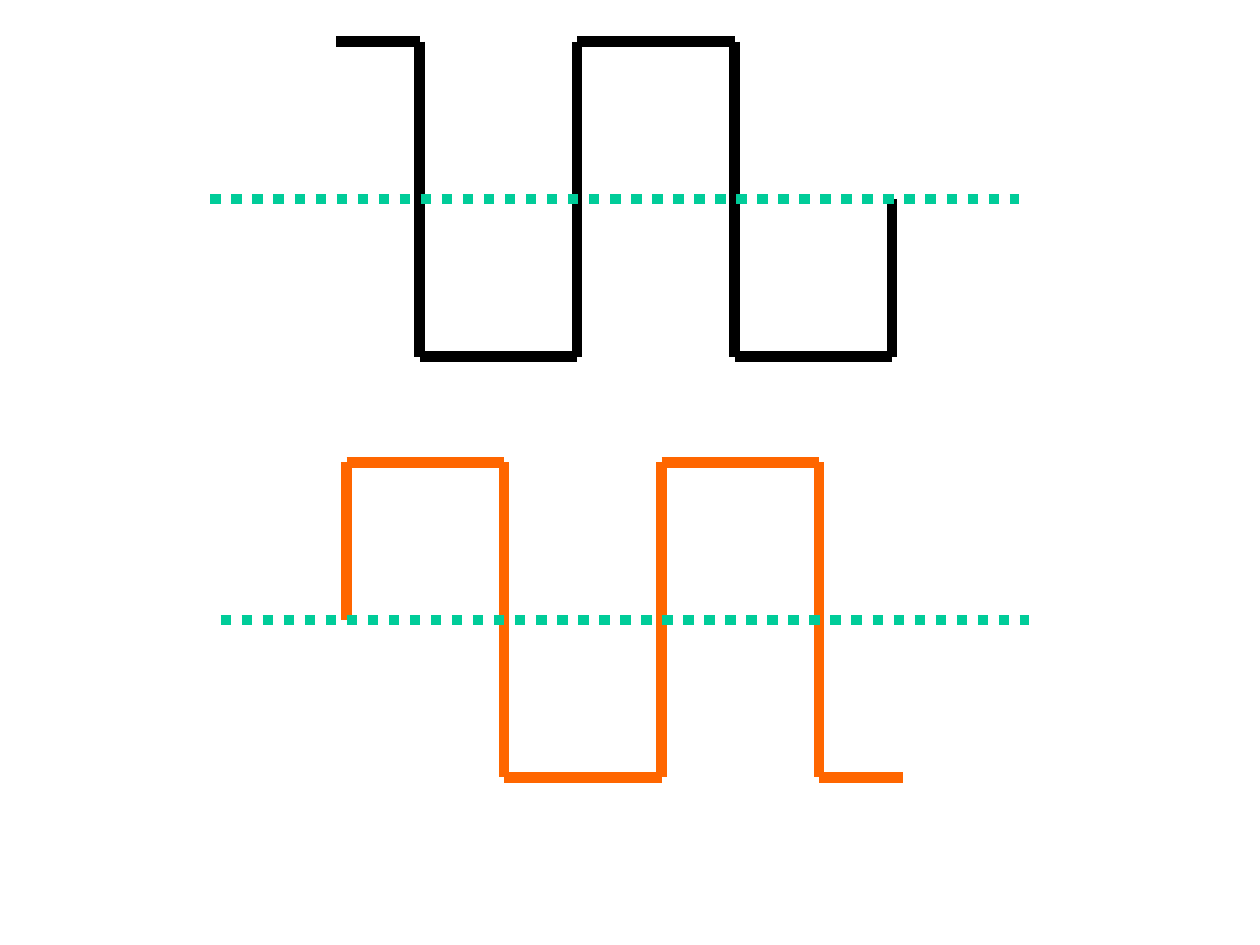
from itertools import pairwise

from lxml.etree import SubElement
from pptx import Presentation
from pptx.dml.color import RGBColor
from pptx.enum.dml import MSO_LINE
from pptx.enum.shapes import MSO_CONNECTOR as CONNECTOR
from pptx.oxml.ns import qn
from pptx.util import Inches, Pt

HALF_PERIOD = 1.25
AMPLITUDE = 1.25
AXIS_LENGTH = 6.42
AXIS_COLOR = "00CC99"

# Each corner is (x, level): level 1 is the crest, 0 the axis, -1 the trough
BLACK_START, ORANGE_START = 3.33, 2.75
black_edges = [BLACK_START + i * HALF_PERIOD for i in range(4)]
orange_edges = [ORANGE_START + i * HALF_PERIOD for i in range(4)]
b, o = black_edges, orange_edges

WAVES = [
    {"color": "000000", "axis_left": 1.67, "axis_y": 1.58,
     "corners": [(2.67, 1), (b[0], 1), (b[0], -1), (b[1], -1), (b[1], 0),
                 (b[1], 1), (b[2], 1), (b[2], -1), (b[3], -1), (b[3], 0)]},
    {"color": "FF6600", "axis_left": 1.75, "axis_y": 4.92,
     "corners": [(o[0], 0), (o[0], 1), (o[1], 1), (o[1], -1), (o[2], -1),
                 (o[2], 0), (o[2], 1), (o[3], 1), (o[3], -1), (7.17, -1)]},
]


def add_line(shapes, start, end, color):
    ends = [Inches(value) for value in (*start, *end)]
    line = shapes.add_connector(CONNECTOR.STRAIGHT, *ends)
    line.line.color.rgb = RGBColor.from_string(color)
    line.line.width = Pt(6)
    # An empty effect list removes the theme shadow
    SubElement(line._element.spPr, qn("a:effectLst"))
    return line


prs = Presentation()
prs.slide_width, prs.slide_height = Inches(10), Inches(7.5)
slide = prs.slides.add_slide(prs.slide_layouts[6])

# Square waves, one group each
for wave in WAVES:
    group = slide.shapes.add_group_shape()
    points = [(x, wave["axis_y"] - level * AMPLITUDE)
              for x, level in wave["corners"]]
    for start, end in pairwise(points):
        add_line(group.shapes, start, end, wave["color"])

# Dotted axes, in front of the waves
for wave in WAVES:
    left, y = wave["axis_left"], wave["axis_y"]
    axis = add_line(slide.shapes, (left, y), (left + AXIS_LENGTH, y), AXIS_COLOR)
    axis.line.dash_style = MSO_LINE.ROUND_DOT

prs.save("out.pptx")
